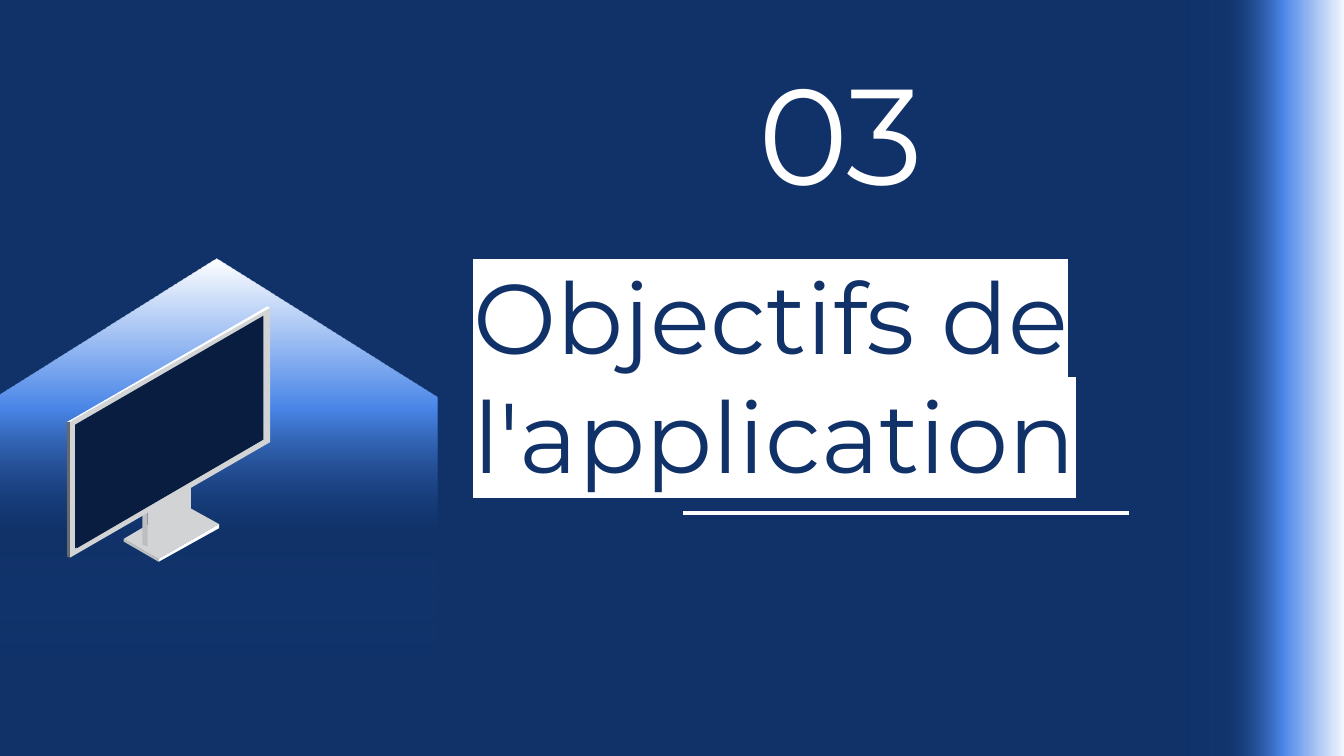
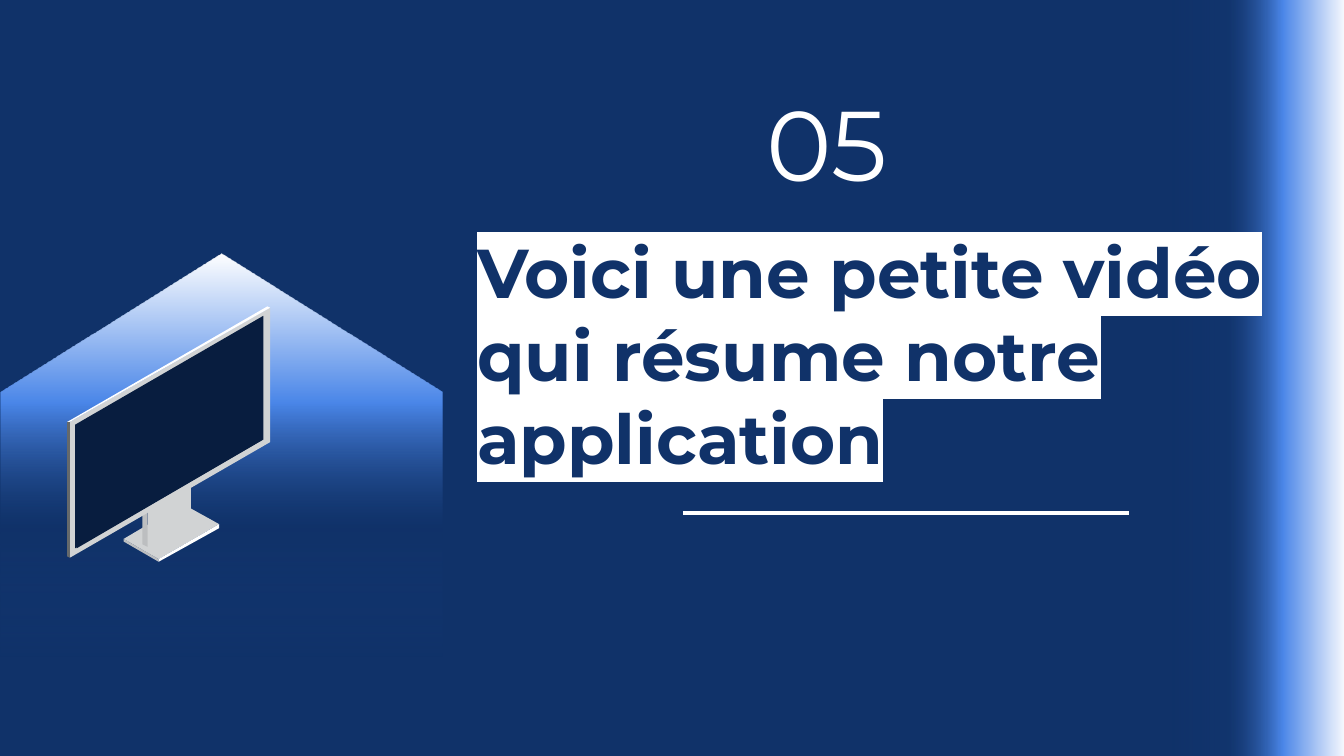
from pptx import Presentation
from pptx import util as u
from pptx.dml.color import RGBColor
from pptx.enum import shapes, text
from pptx.oxml.ns import qn
from lxml import etree

COLORS = {
    "navy": "103269", "deep": "1C4587", "blue": "4A86E8", "white": "FFFFFF",
    "screen": "081D3F", "light": "D1D3D4", "mid": "BCBEC0", "dark": "65696B",
}
FONT = "Montserrat"
PAGE = (720, 405)
BAND_BOX = (470.9, 155.5, 406.8, 93.6)
MONITOR_AT = (36, 164.16)
RULE = (365.8, 604.8, 275)  # left, right, height on the slide

# Gradient stops: position %, colour, opacity %
BAND_STOPS = [(0, "deep", 0), (32, "deep", 15), (63, "blue", 100), (100, "white", 100)]
BEAM_STOPS = [(0, "deep", 0), (32, "navy", 31), (63, "blue", 100), (100, "white", 100)]

# Monitor faces, back to front, in points from the monitor's corner
MONITOR = [
    # Foot
    ("light", [(61.92, 105.84), (30.24, 124.56), (48.96, 135.36), (81.36, 116.64)]),
    ("mid", [(30.24, 124.56), (30.24, 126), (48.96, 136.8), (48.96, 135.36)]),
    ("white", [(81.36, 116.64), (48.96, 135.36), (48.96, 136.8), (81.36, 118.8)]),
    # Stand
    ("light", [(67.68, 72), (44.64, 85.68), (47.52, 87.12), (70.56, 74.16)]),
    ("mid", [(40.32, 87.84), (40.32, 127.44), (43.2, 128.88), (43.2, 89.28)]),
    ("light", [(66.24, 76.32), (43.2, 89.28), (43.2, 128.88), (66.24, 115.92)]),
    # Frame and screen
    ("light", [(108.72, 0.72), (1.44, 61.92), (1.44, 134.64), (108.72, 72.72)]),
    ("light", [(107.28, 2.88), (2.88, 62.64), (2.88, 132.48), (107.28, 72)]),
    ("screen", [(105.12, 5.04), (4.32, 63.36), (4.32, 129.6), (105.12, 71.28)]),
    # Left and top edges
    ("dark", [(0, 61.92), (0, 133.92), (1.44, 134.64), (1.44, 61.92)]),
    ("white", [(107.28, 0), (0, 61.92), (1.44, 61.92), (108.72, 0.72)]),
    # Buttons
    ("light", [(81.36, 87.12), (79.2, 87.84), (79.2, 89.28), (81.36, 87.84)]),
    ("light", [(83.52, 86.4), (81.36, 87.12), (81.36, 87.84), (83.52, 87.12)]),
    # Screen shade
    ("screen", [(5.04, 63.36), (5.04, 129.6), (105.12, 71.28)]),
]

SECTIONS = [
    dict(title="Objectifs de l'application", title_box=(246.24, 129.6, 512.64, 68.4),
         title_format=dict(size=u.Pt(53), bold=False),
         number="03", number_box=(398.88, 29.52, 117.36, 81.36), number_size=73,
         beam_box=(7.92, 128.16, 216, 236.88)),
    dict(title="Voici une petite vidéo qui résume notre application",
         title_box=(248.4, 115.92, 473.76, 68.4),
         title_format=dict(size=u.Pt(37), bold=True),
         number="05", number_box=(403.2, 35.28, 117.36, 81.36), number_size=53,
         beam_box=(10.8, 125.28, 216, 236.88)),
]


def rgb(name):
    return RGBColor.from_string(COLORS[name])


def pts(values):
    return [u.Pt(v) for v in values]


def gradient_shape(s, kind, box, rotation, stops, angle):
    sp = s.shapes.add_shape(kind, *pts(box))
    sp.rotation = rotation
    sp.shadow.inherit = False
    sp.line.fill.background()
    sp.fill.gradient()
    sp.fill.gradient_angle = angle
    gs_list = sp._element.spPr.find(qn("a:gradFill")).find(qn("a:gsLst"))
    for gs in list(gs_list):
        gs_list.remove(gs)
    for pos, color, opacity in stops:
        gs = etree.SubElement(gs_list, qn("a:gs"), pos=str(pos * 1000))
        clr = etree.SubElement(gs, qn("a:srgbClr"), val=COLORS[color])
        if opacity < 100:
            etree.SubElement(clr, qn("a:alpha"), val=str(opacity * 1000))
    return sp


def fill_placeholder(sp, box, words, color, anchor, formats, highlight=None):
    sp.left, sp.top, sp.width, sp.height = pts(box)
    tf = sp.text_frame
    frame = dict(word_wrap=True, auto_size=text.MSO_AUTO_SIZE.NONE, vertical_anchor=anchor)
    frame.update({f"margin_{side}": u.Pt(7.2) for side in ("left", "right", "top", "bottom")})
    for key, value in frame.items():
        setattr(tf, key, value)
    p = tf.paragraphs[0]
    p.alignment = text.PP_ALIGN.LEFT
    p.space_before = u.Pt(0)
    r = p.add_run()
    r.text = words
    r.font.color.rgb = rgb(color)
    for key, value in dict(name=FONT, **formats).items():
        setattr(r.font, key, value)
    if highlight:
        mark = etree.Element(qn("a:highlight"))
        etree.SubElement(mark, qn("a:srgbClr"), val=COLORS[highlight])
        r._r.rPr.find(qn("a:solidFill")).addnext(mark)


def add_rule(s, left, right, y):
    line = s.shapes.add_connector(shapes.MSO_CONNECTOR.STRAIGHT, *pts((left, y, right, y)))
    line.line.color.rgb = rgb("white")
    line.line.width = u.Pt(2.25)
    etree.SubElement(line._element.spPr, qn("a:effectLst"))


def add_monitor(s, left, top):
    group = s.shapes.add_group_shape()
    for color, face in MONITOR:
        corners = [pts((left + x, top + y)) for x, y in face]
        builder = group.shapes.build_freeform(*corners[0])
        builder.add_line_segments(corners[1:], close=True)
        sp = builder.convert_to_shape()
        sp.shadow.inherit = False
        sp.fill.solid()
        sp.fill.fore_color.rgb = rgb(color)
        sp.line.fill.background()


def style_layout(layout, s):
    """Give the layout its background and the glowing band at the right edge."""
    fill = layout.background.fill
    fill.solid()
    fill.fore_color.rgb = rgb("navy")
    band = gradient_shape(s, shapes.MSO_SHAPE.RECTANGLE, BAND_BOX, 90, BAND_STOPS, 90)
    band._element.nvSpPr.cNvPr.set("id", "99")
    layout.shapes._spTree.append(band._element)


def section_slide(s, section):
    # Heading, rule and section number
    fill_placeholder(s.shapes.title, section["title_box"], section["title"], "navy",
                     text.MSO_ANCHOR.TOP, section["title_format"], highlight="white")
    add_rule(s, *RULE)
    fill_placeholder(s.placeholders[1], section["number_box"], section["number"], "white",
                     text.MSO_ANCHOR.MIDDLE, dict(size=u.Pt(section["number_size"]), bold=False))
    # Light beam behind the monitor
    beam = gradient_shape(s, shapes.MSO_SHAPE.PENTAGON, section["beam_box"], 270, BEAM_STOPS, 0)
    beam.adjustments[0] = 0.343
    add_monitor(s, *MONITOR_AT)


def main():
    prs = Presentation()
    prs.slide_width, prs.slide_height = pts(PAGE)
    layout = prs.slide_layouts[0]
    slides = [prs.slides.add_slide(layout) for _ in SECTIONS]
    style_layout(layout, slides[0])
    for s, section in zip(slides, SECTIONS):
        section_slide(s, section)
    prs.save("out.pptx")


if __name__ == "__main__":
    main()
